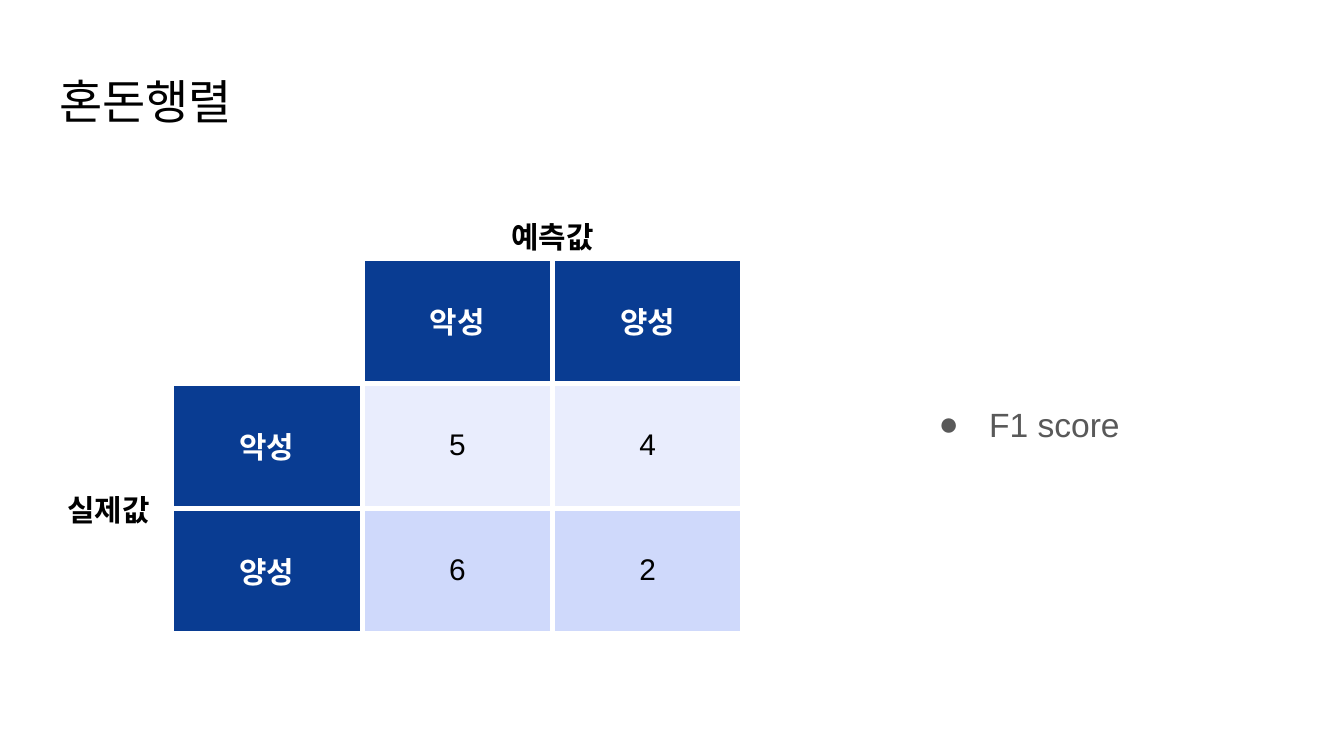
from lxml import etree
from pptx import Presentation
from pptx.dml.color import RGBColor
from pptx.enum.text import MSO_ANCHOR, PP_ALIGN
from pptx.oxml.ns import qn
from pptx.util import Pt

TOP, MIDDLE = MSO_ANCHOR.TOP, MSO_ANCHOR.MIDDLE
LEFT, CENTER = PP_ALIGN.LEFT, PP_ALIGN.CENTER

BLACK = RGBColor(0x00, 0x00, 0x00)
WHITE = RGBColor(0xFF, 0xFF, 0xFF)
GRAY = RGBColor(0x59, 0x59, 0x59)
NAVY = RGBColor(0x09, 0x3C, 0x92)
PALE = RGBColor(0xE9, 0xED, 0xFD)
LIGHT = RGBColor(0xCF, 0xD9, 0xFB)
FONT = "Arial"

# Content
TITLE = "혼돈행렬"
METRIC = "F1 score"
MATRIX = [
    ["", "", "예측값", ""],
    ["", "", "악성", "양성"],
    ["실제값", "악성", "5", "4"],
    ["", "양성", "6", "2"],
]
COLS = [67.5, 102, 102, 102]
ROWS = [27.4, 67, 67, 67]
BANDS = {2: PALE, 3: LIGHT}


def style(para, size, color, bold=False, align=CENTER):
    para.alignment = align
    font = para.font
    font.name, font.size, font.bold = FONT, Pt(size), bold
    font.color.rgb = color


def inset(frame, anchor):
    frame.word_wrap = True
    frame.vertical_anchor = anchor
    frame.margin_left = frame.margin_right = Pt(7.2)
    frame.margin_top = frame.margin_bottom = Pt(7.2)


def look(row, col):
    """Return fill, text colour and weight by place in the matrix."""
    if row == 0 or col == 0 or (row == 1 and col == 1):
        return WHITE, BLACK, True
    if row == 1 or col == 1:
        return NAVY, WHITE, True
    return BANDS[row], BLACK, False


def border(cell, color, width):
    props = cell._tc.get_or_add_tcPr()
    for spot, side in enumerate(("lnL", "lnR", "lnT", "lnB")):
        line = etree.Element(qn("a:" + side), w=str(Pt(width)))
        fill = etree.SubElement(line, qn("a:solidFill"))
        etree.SubElement(fill, qn("a:srgbClr"), val=str(color))
        props.insert(spot, line)


def main():
    deck = Presentation()
    deck.slide_width, deck.slide_height = Pt(720), Pt(405)
    slide = deck.slides.add_slide(deck.slide_layouts[5])

    # Title
    title = slide.shapes.title
    title.left, title.top = Pt(24.5), Pt(35)
    title.width, title.height = Pt(671), Pt(45.4)
    title.text = TITLE
    inset(title.text_frame, TOP)
    para = title.text_frame.paragraphs[0]
    para.line_spacing = 0.9
    style(para, 25.2, BLACK, align=LEFT)

    # Metric bullet
    box = slide.shapes.add_textbox(Pt(398.2), Pt(90.7), Pt(297.4), Pt(269.3))
    inset(box.text_frame, MIDDLE)
    para = box.text_frame.paragraphs[0]
    para.text = METRIC
    para.line_spacing = 1.15
    props = para._p.get_or_add_pPr()
    props.set("marL", str(Pt(36)))
    props.set("indent", str(-Pt(27)))
    tint = etree.SubElement(props, qn("a:buClr"))
    etree.SubElement(tint, qn("a:srgbClr"), val=str(GRAY))
    etree.SubElement(props, qn("a:buFont"), typeface=FONT)
    etree.SubElement(props, qn("a:buChar"), char="●")
    style(para, 18, GRAY)

    # Confusion matrix
    table = slide.shapes.add_table(
        len(ROWS), len(COLS), Pt(24.5), Pt(110.9), Pt(sum(COLS)), Pt(sum(ROWS))
    ).table
    for col, width in zip(table.columns, COLS):
        col.width = Pt(width)
    for row, height in zip(table.rows, ROWS):
        row.height = Pt(height)
    for r, texts in enumerate(MATRIX):
        for c, text in enumerate(texts):
            cell = table.cell(r, c)
            fill, color, bold = look(r, c)
            cell.text = text
            cell.vertical_anchor = MIDDLE
            cell.margin_left = cell.margin_right = Pt(8)
            cell.margin_top = cell.margin_bottom = Pt(4)
            cell.fill.solid()
            cell.fill.fore_color.rgb = fill
            style(cell.text_frame.paragraphs[0], 16, color, bold)
            border(cell, WHITE, 3)
    table.cell(0, 2).merge(table.cell(0, 3))
    table.cell(2, 0).merge(table.cell(3, 0))

    deck.save("out.pptx")


if __name__ == "__main__":
    main()
